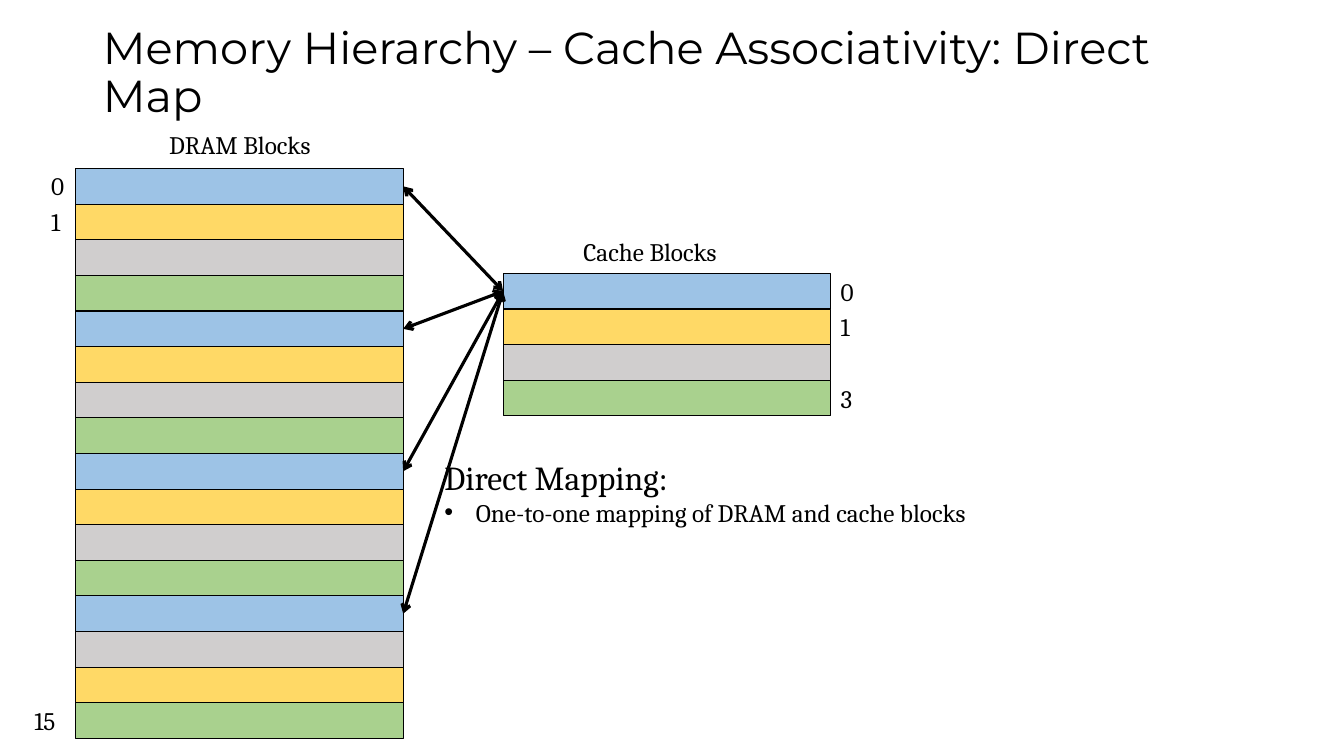
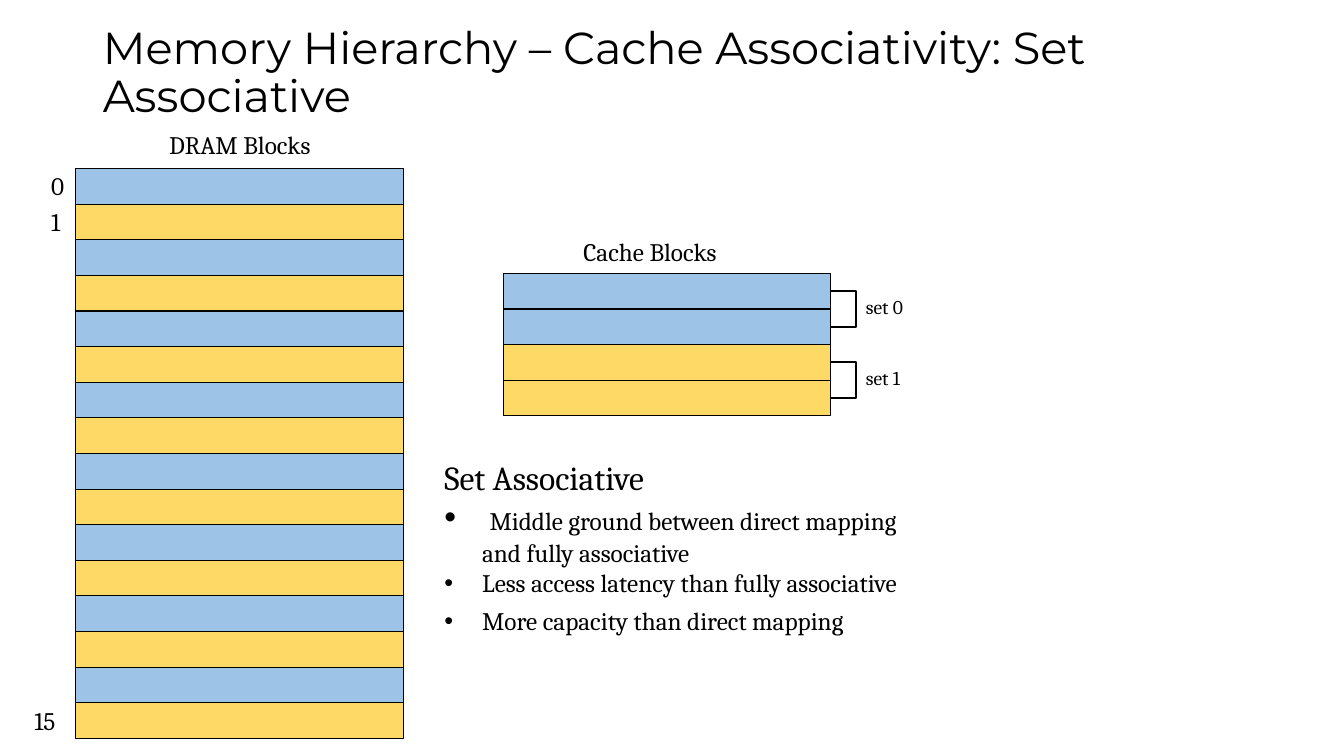
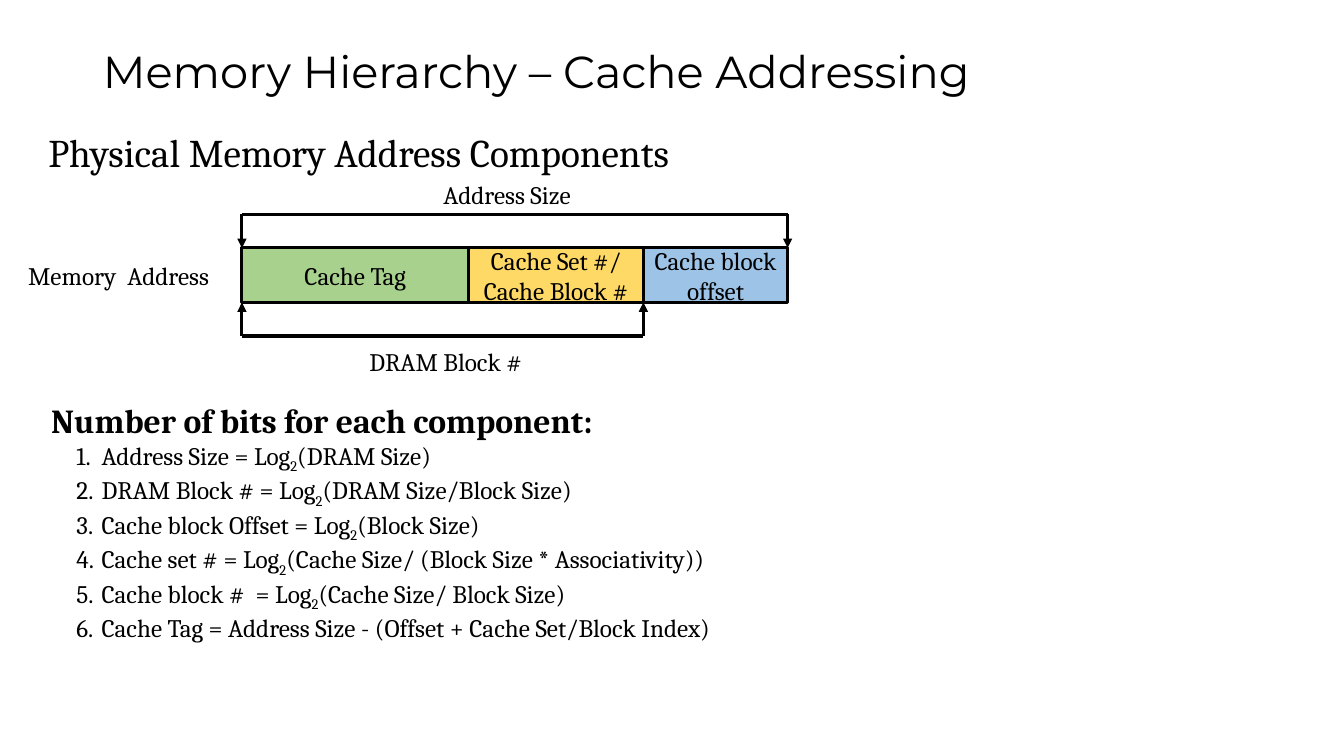
from lxml import etree
from pptx import Presentation
from pptx.dml.color import RGBColor
from pptx.enum.shapes import MSO_CONNECTOR, MSO_SHAPE
from pptx.enum.text import MSO_ANCHOR, MSO_AUTO_SIZE, PP_ALIGN
from pptx.oxml.ns import qn
from pptx.util import Pt

STRAIGHT = MSO_CONNECTOR.STRAIGHT
RECTANGLE = MSO_SHAPE.RECTANGLE
LEFT, CENTER = PP_ALIGN.LEFT, PP_ALIGN.CENTER
MIDDLE = MSO_ANCHOR.MIDDLE
NO_AUTOFIT = MSO_AUTO_SIZE.NONE
LEFT_SIDE, RIGHT_SIDE = 1, 3

COLORS = {
    "blue": "9DC3E6",
    "yellow": "FFD966",
    "gray": "D0CECE",
    "green": "A9D18E",
    "black": "000000",
}
TITLE_FONT, BODY_FONT = "Montserrat", "Cambria"
TITLE_BOX = (66.24, 28.8, 828, 48.24)
BLOCK_WIDTH, BLOCK_PITCH = 234, 25.44
DRAM_ORIGIN = (54, 120.4)
CACHE_ORIGIN = (359.4, 195.3)
NOTES_ORIGIN = (310.3, 322.6)


def rgb(name):
    return RGBColor.from_string(COLORS[name])


def points(*lengths):
    return [Pt(length) for length in lengths]


def set_font(font, size, name=BODY_FONT, bold=False):
    font.name, font.size, font.bold = name, Pt(size), bold
    font.color.rgb = rgb("black")


def add_title_slide(prs, title):
    slide = prs.slides.add_slide(prs.slide_layouts[5])
    heading = slide.shapes.title
    heading.left, heading.top, heading.width, heading.height = points(*TITLE_BOX)
    frame = heading.text_frame
    frame.text = title
    frame.auto_size, frame.vertical_anchor = NO_AUTOFIT, MIDDLE
    line = frame.paragraphs[0]
    line.alignment, line.line_spacing = LEFT, 0.9
    set_font(line.font, 32, TITLE_FONT)
    return slide


def add_frame(slide, box, inset=3.6, wrap=True):
    """Add a text box and return its text frame; inset is the vertical margin."""
    frame = slide.shapes.add_textbox(*points(*box)).text_frame
    frame.word_wrap = wrap
    frame.margin_top = frame.margin_bottom = Pt(inset)
    return frame


def add_label(slide, box, text, size=18, align=LEFT, inset=3.6, wrap=False):
    frame = add_frame(slide, box, inset, wrap)
    frame.text = text
    line = frame.paragraphs[0]
    line.alignment = align
    set_font(line.font, size)
    return line


def add_list_item(frame, indent, hanging, marker, **attributes):
    """Append an 18 pt paragraph with a bullet or number hung to its left."""
    item = frame.add_paragraph()
    props = item._p.get_or_add_pPr()
    props.set("marL", str(Pt(indent)))
    props.set("indent", str(-Pt(hanging)))
    if marker == "a:buChar":
        etree.SubElement(props, qn("a:buFont"), typeface="Arial")
    etree.SubElement(props, qn(marker), **attributes)
    set_font(item.font, 18)
    return item


def add_bullet(frame, text, indent):
    item = add_list_item(frame, indent, indent, "a:buChar", char="•")
    item.add_run().text = text
    return item


def add_block(slide, box, color, line_width=0.75):
    block = slide.shapes.add_shape(RECTANGLE, *points(*box))
    block.shadow.inherit = False
    block.fill.solid()
    block.fill.fore_color.rgb = rgb(color)
    block.line.color.rgb = rgb("black")
    block.line.width = Pt(line_width)
    return block


def add_line(slide, start, end, **arrowheads):
    """Draw a line; arrowheads maps headEnd and tailEnd to a type."""
    line = slide.shapes.add_connector(STRAIGHT, *points(*start, *end))
    line.line.color.rgb = rgb("black")
    line.line.width = Pt(2.25)
    for end_name, kind in arrowheads.items():
        etree.SubElement(line.line._get_or_add_ln(), qn(f"a:{end_name}"), type=kind)
    etree.SubElement(line._element.spPr, qn("a:effectLst"))
    return line


def add_stack(slide, origin, colors):
    left, top = origin
    return [
        add_block(slide, (left, top + row * BLOCK_PITCH, BLOCK_WIDTH, BLOCK_PITCH), color)
        for row, color in enumerate(colors)
    ]


def add_dram(slide, colors):
    left, top = DRAM_ORIGIN
    blocks = add_stack(slide, DRAM_ORIGIN, colors)
    add_label(slide, (left + 59.8, top - 31.8, 119.5, 29), "DRAM Blocks")
    for row in (0, 1, len(colors) - 1):
        number = str(row)
        width = 12.5 + 12 * len(number)
        add_label(slide, (left - width, top + row * BLOCK_PITCH - 2, width, 29), number)
    return blocks


def add_cache(slide, colors):
    left, top = CACHE_ORIGIN
    blocks = add_stack(slide, CACHE_ORIGIN, colors)
    add_label(slide, (left + 50.3, top - 30.4, 116, 29), "Cache Blocks")
    return blocks


def add_cache_numbers(slide, rows):
    left, top = CACHE_ORIGIN
    for row in rows:
        box = (left + BLOCK_WIDTH, top + row * BLOCK_PITCH - 1.6, 24.5, 29)
        add_label(slide, box, str(row))


def add_set_brackets(slide, set_count, ways):
    """Bracket the first and last block of each cache set and name the set."""
    left, top = CACHE_ORIGIN
    edge = left + BLOCK_WIDTH
    for index in range(set_count):
        first = top + (index * ways + 0.5) * BLOCK_PITCH
        last = first + (ways - 1) * BLOCK_PITCH
        outline = slide.shapes.build_freeform(*points(edge, first))
        corners = [(edge + 18, first), (edge + 18, last), (edge, last)]
        outline.add_line_segments([points(*corner) for corner in corners], close=False)
        bracket = outline.convert_to_shape()
        bracket.shadow.inherit = False
        bracket.fill.background()
        bracket.line.color.rgb = rgb("black")
        bracket.line.width = Pt(1.5)
        middle = (first + last) / 2
        add_label(slide, (edge + 18, middle - 13.5, 47.5, 24.5), f"set {index}", 14)


def add_notes(slide, heading, width, height):
    frame = add_frame(slide, (*NOTES_ORIGIN, width, height))
    frame.text = heading
    set_font(frame.paragraphs[0].font, 24)
    return frame


def build_direct_map(prs):
    slide = add_title_slide(prs, "Memory Hierarchy – Cache Associativity: Direct Map")
    cycle = ["blue", "yellow", "gray", "green"]
    dram = add_dram(slide, cycle * 3 + ["blue", "gray", "yellow", "green"])
    cache = add_cache(slide, cycle)
    add_cache_numbers(slide, (0, 1, 3))
    notes = add_notes(slide, "Direct Mapping:", 404.6, 58.3)
    add_bullet(notes, "One-to-one mapping of DRAM and cache blocks", 22.5)
    for block in dram[::len(cycle)]:
        arrow = add_line(slide, (0, 0), (1, 1), headEnd="arrow", tailEnd="arrow")
        arrow.begin_connect(block, RIGHT_SIDE)
        arrow.end_connect(cache[0], LEFT_SIDE)


def build_set_associative(prs):
    slide = add_title_slide(prs, "Memory Hierarchy – Cache Associativity: Set Associative")
    add_dram(slide, ["blue", "yellow"] * 8)
    add_cache(slide, ["blue", "blue", "yellow", "yellow"])
    add_set_brackets(slide, set_count=2, ways=2)
    notes = add_notes(slide, "Set Associative", 345.6, 181.4)
    first = add_list_item(notes, 27, 27, "a:buChar", char="•")
    lead = first.add_run()
    lead.text = " "
    lead.font.size = Pt(24)
    first.add_run().text = "Middle ground between direct mapping and fully associative"
    add_bullet(notes, "Less access latency than fully associative", 27)
    last = add_bullet(notes, "More capacity than direct mapping", 27)
    last.space_before = Pt(5.6)


def add_span(slide, left, right, bar, target):
    """Draw a bar whose two ends point at the target height."""
    add_line(slide, (left, bar), (right, bar))
    for x in (left, right):
        add_line(slide, (x, bar), (x, target), tailEnd="triangle")


def add_address(slide, left, top, height):
    """Draw the address fields with the spans above and below them."""
    fields = [
        ("Cache Tag", "green", 162),
        ("Cache Set #/ Cache Block #", "yellow", 124.8),
        ("Cache block offset", "blue", 103),
    ]
    edge = left
    for text, color, width in fields:
        field = add_block(slide, (edge, top, width, height), color, 2.25)
        frame = field.text_frame
        frame.text = text
        frame.word_wrap, frame.vertical_anchor = True, MIDDLE
        frame.margin_top = frame.margin_bottom = Pt(7.2)
        line = frame.paragraphs[0]
        line.alignment = CENTER
        set_font(line.font, 18)
        offset_start = edge
        edge += width
    bottom = top + height
    add_label(slide, (left - 159.8, top + 1.4, 157.7, 35.3), "Memory  Address", inset=7.2)
    add_label(slide, (left + 2.2, bottom + 23.8, 286.6, 29.5), "DRAM Block #",
              align=CENTER, inset=7.2, wrap=True)
    size_label = add_label(slide, (left - 0.7, top - 48.2, 380.2, 23.8), "Address Size",
                           align=CENTER, inset=7.2, wrap=True)
    size_label.line_spacing = 0.6
    add_span(slide, left, edge, top - 24, top)
    add_span(slide, left, offset_start, bottom + 24, bottom)


def add_formulas(slide, box):
    formulas = [
        ("Address Size = Log", "(DRAM Size)"),
        ("DRAM Block # = Log", "(DRAM Size/Block Size)"),
        ("Cache block Offset = Log", "(Block Size)"),
        ("Cache set # = Log", "(Cache Size/ (Block Size * Associativity))"),
        ("Cache block #  = Log", "(Cache Size/ Block Size)"),
        ("Cache Tag = Address Size - (Offset + Cache Set/Block Index)",),
    ]
    frame = add_frame(slide, box, inset=7.2)
    frame.text = "Number of bits for each component:"
    set_font(frame.paragraphs[0].font, 24, bold=True)
    for start, *arguments in formulas:
        item = add_list_item(frame, 36, 18, "a:buAutoNum", type="arabicPeriod")
        item.add_run().text = start
        for argument in arguments:
            base = item.add_run()
            base.text = "2"
            base._r.get_or_add_rPr().set("baseline", "-25000")
            item.add_run().text = argument


def build_addressing(prs):
    slide = add_title_slide(prs, "Memory Hierarchy – Cache Addressing")
    add_address(slide, 172.8, 177.1, 38.9)
    add_formulas(slide, (29.5, 278.6, 566.6, 224.6))
    add_label(slide, (27.4, 87.8, 485.3, 41), "Physical Memory Address Components", 28)


def main():
    prs = Presentation()
    prs.slide_width, prs.slide_height = Pt(960), Pt(540)
    build_direct_map(prs)
    build_set_associative(prs)
    build_addressing(prs)
    prs.save("out.pptx")


if __name__ == "__main__":
    main()
